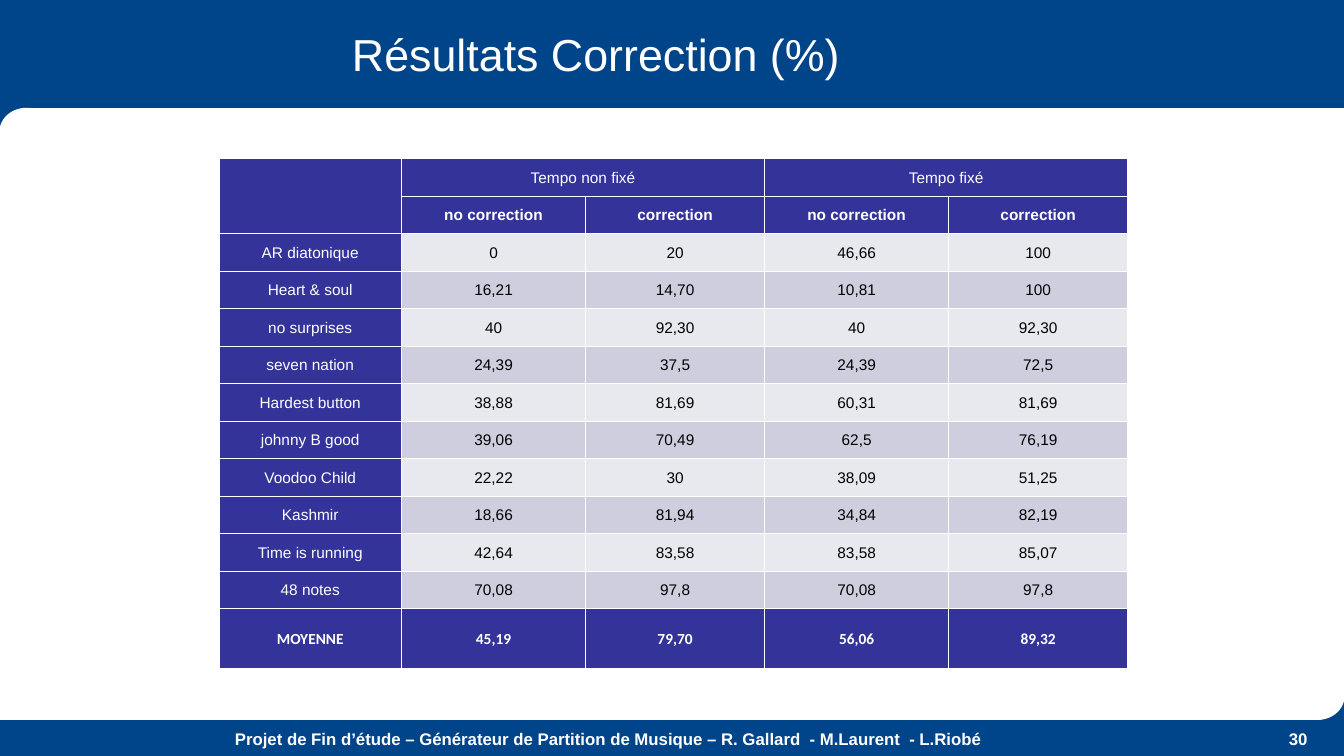
from lxml.etree import SubElement
from pptx import Presentation
from pptx.dml.color import RGBColor
from pptx.enum.shapes import MSO_SHAPE as Shape
from pptx.enum.text import MSO_ANCHOR as Anchor, PP_ALIGN as Align
from pptx.oxml.ns import qn
from pptx.util import Cm, Pt

TITLE = "Résultats Correction (%)"
FOOTER = "Projet de Fin d’étude – Générateur de Partition de Musique – R. Gallard  - M.Laurent  - L.Riobé"
PAGE = "30"
RESULTS = [
    ("", "Tempo non fixé", "", "Tempo fixé", ""),
    ("", "no correction", "correction", "no correction", "correction"),
    ("AR diatonique", "0", "20", "46,66", "100"),
    ("Heart & soul", "16,21", "14,70", "10,81", "100"),
    ("no surprises", "40", "92,30", "40", "92,30"),
    ("seven nation", "24,39", "37,5", "24,39", "72,5"),
    ("Hardest button", "38,88", "81,69", "60,31", "81,69"),
    ("johnny B good", "39,06", "70,49", "62,5", "76,19"),
    ("Voodoo Child", "22,22", "30", "38,09", "51,25"),
    ("Kashmir", "18,66", "81,94", "34,84", "82,19"),
    ("Time is running", "42,64", "83,58", "83,58", "85,07"),
    ("48 notes", "70,08", "97,8", "70,08", "97,8"),
    ("MOYENNE", "45,19", "79,70", "56,06", "89,32"),
]
MERGES = [((0, 0), (1, 0)), ((0, 1), (0, 2)), ((0, 3), (0, 4))]
HEADER_ROWS = 2
AVERAGE_ROW = len(RESULTS) - 1

BLUE = RGBColor(0x00, 0x44, 0x89)
INDIGO = RGBColor(0x33, 0x33, 0x99)
WHITE = RGBColor(0xFF, 0xFF, 0xFF)
BLACK = RGBColor(0x00, 0x00, 0x00)
BANDS = (RGBColor(0xE8, 0xE8, 0xEF), RGBColor(0xCE, 0xCE, 0xDE))

SLIDE_W, SLIDE_H = 33.87, 19.05
PANEL_TOP, PANEL_BOTTOM = 2.73, 18.13
EDGE_W, EDGE_H = 0.67, 0.47
CORNER_W, CORNER_H = 2 * EDGE_W, 1.17
TABLE_LEFT, TABLE_TOP = 5.52, 4
COLUMN_WIDTHS = (4.6, 4.64, 4.51, 4.64, 4.51)
ROW_H, AVERAGE_H = 0.945, 1.5
CELL_FORMAT = {"margin_left": Cm(0.18), "margin_right": Cm(0.18), "margin_top": 0,
               "margin_bottom": 0, "vertical_anchor": Anchor.MIDDLE}


def write(frame, text, align, size, color=WHITE, bold=False, font="Arial"):
    paragraph = frame.paragraphs[0]
    paragraph.alignment = align
    run = paragraph.add_run()
    run.text = text
    for name, value in {"name": font, "size": Pt(size), "bold": bold}.items():
        setattr(run.font, name, value)
    run.font.color.rgb = color
    return paragraph


def add_text(slide, box, text, align, size, bold=False, anchor=Anchor.TOP):
    frame = slide.shapes.add_textbox(*map(Cm, box)).text_frame
    frame.word_wrap = True
    frame.vertical_anchor = anchor
    write(frame, text, align, size, bold=bold)


def add_borders(cell):
    properties = cell._tc.get_or_add_tcPr()
    for side in ("a:lnL", "a:lnR", "a:lnT", "a:lnB"):
        border = SubElement(properties, qn(side), w=str(Pt(1)))
        fill = SubElement(border, qn("a:solidFill"))
        SubElement(fill, qn("a:srgbClr"), val=str(WHITE))


def format_cell(cell, row, column, text):
    for name, value in CELL_FORMAT.items():
        setattr(cell, name, value)
    add_borders(cell)
    is_value = column > 0 and HEADER_ROWS <= row < AVERAGE_ROW
    cell.fill.solid()
    cell.fill.fore_color.rgb = BANDS[row % 2] if is_value else INDIGO
    if text:
        paragraph = write(cell.text_frame, text, Align.CENTER, 11,
                          color=BLACK if is_value else WHITE,
                          bold=row in (HEADER_ROWS - 1, AVERAGE_ROW),
                          font="Calibri" if row == AVERAGE_ROW else "Arial")
        paragraph.line_spacing = 1.07


def add_results(slide):
    heights = [ROW_H] * AVERAGE_ROW + [AVERAGE_H]
    box = (TABLE_LEFT, TABLE_TOP, sum(COLUMN_WIDTHS), sum(heights))
    table = slide.shapes.add_table(len(heights), len(COLUMN_WIDTHS), *map(Cm, box)).table
    table.first_row = table.horz_banding = False
    for column, width in zip(table.columns, COLUMN_WIDTHS):
        column.width = Cm(width)
    for row, height in zip(table.rows, heights):
        row.height = Cm(height)
    for r, texts in enumerate(RESULTS):
        for c, text in enumerate(texts):
            format_cell(table.cell(r, c), r, c, text)
    for first, last in MERGES:
        table.cell(*first).merge(table.cell(*last))


def add_panel(slide):
    """White area with two rounded corners: a centre, four edges and two ellipses."""
    right, inner_top = SLIDE_W - EDGE_W, PANEL_TOP + EDGE_H
    inner_bottom = PANEL_BOTTOM - EDGE_H
    long_w = SLIDE_W - EDGE_W
    long_h = PANEL_BOTTOM - PANEL_TOP - EDGE_H
    pieces = [
        (Shape.RECTANGLE, 0, inner_bottom, long_w, EDGE_H),
        (Shape.OVAL, 0, PANEL_TOP, CORNER_W, CORNER_H),
        (Shape.OVAL, SLIDE_W - CORNER_W, PANEL_BOTTOM - CORNER_H, CORNER_W, CORNER_H),
        (Shape.RECTANGLE, EDGE_W, PANEL_TOP, long_w, EDGE_H),
        (Shape.RECTANGLE, 0, inner_top, EDGE_W, long_h),
        (Shape.RECTANGLE, right, PANEL_TOP, EDGE_W, long_h),
        (Shape.RECTANGLE, EDGE_W, inner_top, right - EDGE_W, inner_bottom - inner_top),
    ]
    panel = slide.shapes.add_group_shape()
    for kind, *box in pieces:
        piece = panel.shapes.add_shape(kind, *map(Cm, box))
        piece.shadow.inherit = False
        piece.fill.solid()
        piece.fill.fore_color.rgb = WHITE
        piece.line.color.rgb = WHITE
        piece.line.width = Pt(0.75)


def main():
    deck = Presentation()
    deck.slide_width, deck.slide_height = Cm(SLIDE_W), Cm(SLIDE_H)
    slide = deck.slides.add_slide(deck.slide_layouts[6])
    slide.background.fill.solid()
    slide.background.fill.fore_color.rgb = BLUE
    add_panel(slide)
    add_text(slide, (8.62, 0.67, 19.84, 1.37), TITLE, Align.LEFT, 32, anchor=Anchor.MIDDLE)
    add_results(slide)
    add_text(slide, (0.67, 18.24, 29.34, 0.99), FOOTER, Align.CENTER, 12, bold=True)
    add_text(slide, (30, 18.24, 3.2, 1.07), PAGE, Align.RIGHT, 12, bold=True)
    deck.save("out.pptx")


if __name__ == "__main__":
    main()
